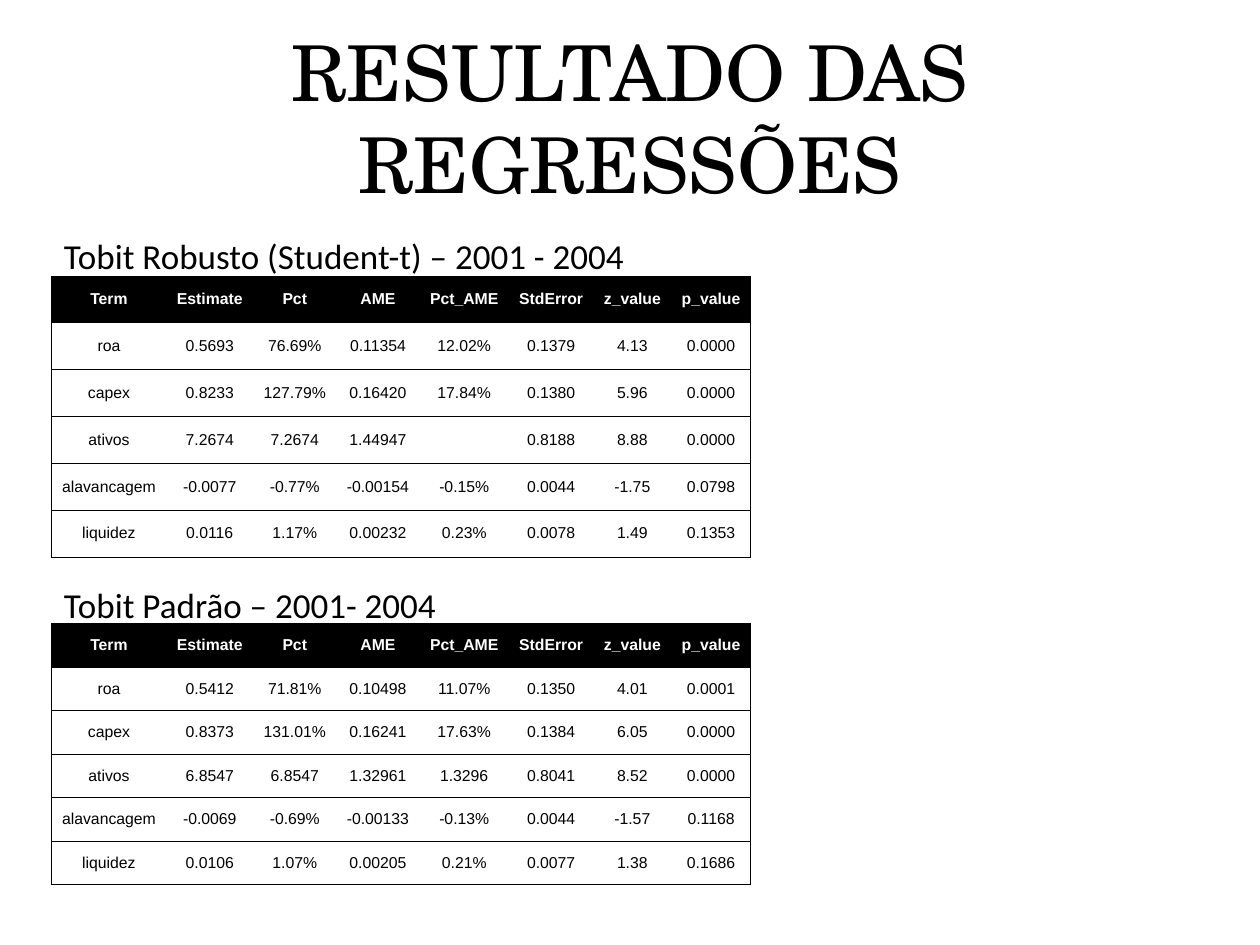
"""Build the slide with the robust and standard Tobit regression tables."""
from lxml import etree
from pptx import Presentation
from pptx.dml.color import RGBColor
from pptx.enum.text import MSO_ANCHOR, MSO_AUTO_SIZE, PP_ALIGN
from pptx.oxml.ns import qn
from pptx.util import Inches, Pt

MIDDLE = MSO_ANCHOR.MIDDLE
FIXED = MSO_AUTO_SIZE.NONE
CENTER = PP_ALIGN.CENTER
TITLE_ONLY = 5
GRID_COLUMNS, GRID_ROWS = 100, 75

LEFT = 4.1
COLUMN_WIDTHS = [9.1, 6.9, 6.6, 6.6, 7.1, 6.7, 6.2, 6.3]
HEADER = ["Term", "Estimate", "Pct", "AME", "Pct_AME", "StdError", "z_value", "p_value"]
ROBUST = [
    ["roa", "0.5693", "76.69%", "0.11354", "12.02%", "0.1379", "4.13", "0.0000"],
    ["capex", "0.8233", "127.79%", "0.16420", "17.84%", "0.1380", "5.96", "0.0000"],
    ["ativos", "7.2674", "7.2674", "1.44947", "", "0.8188", "8.88", "0.0000"],
    ["alavancagem", "-0.0077", "-0.77%", "-0.00154", "-0.15%", "0.0044", "-1.75", "0.0798"],
    ["liquidez", "0.0116", "1.17%", "0.00232", "0.23%", "0.0078", "1.49", "0.1353"],
]
STANDARD = [
    ["roa", "0.5412", "71.81%", "0.10498", "11.07%", "0.1350", "4.01", "0.0001"],
    ["capex", "0.8373", "131.01%", "0.16241", "17.63%", "0.1384", "6.05", "0.0000"],
    ["ativos", "6.8547", "6.8547", "1.32961", "1.3296", "0.8041", "8.52", "0.0000"],
    ["alavancagem", "-0.0069", "-0.69%", "-0.00133", "-0.13%", "0.0044", "-1.57", "0.1168"],
    ["liquidez", "0.0106", "1.07%", "0.00205", "0.21%", "0.0077", "1.38", "0.1686"],
]


def color(code):
    """Turn a hex string into a colour."""
    return RGBColor.from_string(code)


class RegressionPage:
    """Holds the style and the current slide, with one method per element."""

    ink, paper = "000000", "FFFFFF"
    title_font, label_font, table_font = "TeX Gyre Schola", "Calibri", "Arial"
    title_size, label_size, table_size, border = 44, 20, 9, 0.5

    def __init__(self, deck):
        """Add a title-only slide to the deck."""
        self.page = deck.slides.add_slide(deck.slide_layouts[TITLE_ONLY])
        self.column = deck.slide_width / GRID_COLUMNS
        self.row = deck.slide_height / GRID_ROWS

    def place(self, left, top, width, height):
        """Convert grid columns and rows to lengths."""
        return (round(left * self.column), round(top * self.row),
                round(width * self.column), round(height * self.row))

    def style(self, para, name, size, code, bold=False):
        """Set the font of a paragraph."""
        font = para.font
        font.name, font.size, font.bold = name, Pt(size), bold
        font.color.rgb = color(code)

    def title(self, text, *area):
        """Fill and move the title placeholder."""
        box = self.page.shapes.title
        box.left, box.top, box.width, box.height = self.place(*area)
        frame = box.text_frame
        frame.text = text
        frame.auto_size, frame.vertical_anchor = FIXED, MIDDLE
        para = frame.paragraphs[0]
        para.alignment = CENTER
        self.style(para, self.title_font, self.title_size, self.ink)

    def label(self, text, *area):
        """Add a one-line heading."""
        frame = self.page.shapes.add_textbox(*self.place(*area)).text_frame
        frame.word_wrap = True
        frame.text = text
        self.style(frame.paragraphs[0], self.label_font, self.label_size, self.ink)

    def outline(self, cell, drawn):
        """Draw the named cell sides and leave the others bare."""
        properties = cell._tc.get_or_add_tcPr()
        for side in "LRTB":
            line = etree.SubElement(properties, qn(f"a:ln{side}"), w=str(Pt(self.border)))
            if side in drawn:
                fill = etree.SubElement(line, qn("a:solidFill"))
                etree.SubElement(fill, qn("a:srgbClr"), val=self.ink)
            else:
                etree.SubElement(line, qn("a:noFill"))

    def cell(self, cell, text, is_header, sides):
        """Write and format one table cell."""
        self.outline(cell, sides)
        cell.fill.solid()
        cell.fill.fore_color.rgb = color(self.ink if is_header else self.paper)
        cell.margin_left = cell.margin_right = cell.margin_top = cell.margin_bottom = 0
        cell.vertical_anchor = MIDDLE
        cell.text = text
        para = cell.text_frame.paragraphs[0]
        para.alignment = CENTER
        self.style(para, self.table_font, self.table_size,
                   self.paper if is_header else self.ink, is_header)

    def table(self, records, top, height):
        """Add a table with a dark header and horizontal rules."""
        rows = [HEADER] + records
        area = self.place(LEFT, top, sum(COLUMN_WIDTHS), height)
        table = self.page.shapes.add_table(len(rows), len(HEADER), *area).table
        table.first_row = table.horz_banding = False
        for column, width in zip(table.columns, COLUMN_WIDTHS):
            column.width = round(width * self.column)
        last = len(HEADER) - 1
        for y, values in enumerate(rows):
            for x, text in enumerate(values):
                sides = "TB" + ("L" if x == 0 else "") + ("R" if x == last else "")
                self.cell(table.cell(y, x), text, y == 0, sides)


def main():
    """Build and save the deck."""
    deck = Presentation()
    deck.slide_width, deck.slide_height = Inches(10), Inches(7.5)
    page = RegressionPage(deck)
    page.title("RESULTADO DAS REGRESSÕES", 5, 3, 90, 12.5)
    page.table(STANDARD, 49.5, 20.7)
    page.table(ROBUST, 21.9, 22.3)
    page.label("Tobit Robusto (Student-t) – 2001 - 2004", LEFT, 18.1, 95.3, 7.4)
    page.label("Tobit Padrão – 2001- 2004", LEFT, 45.8, 95.3, 7.4)
    deck.save("out.pptx")


if __name__ == "__main__":
    main()
